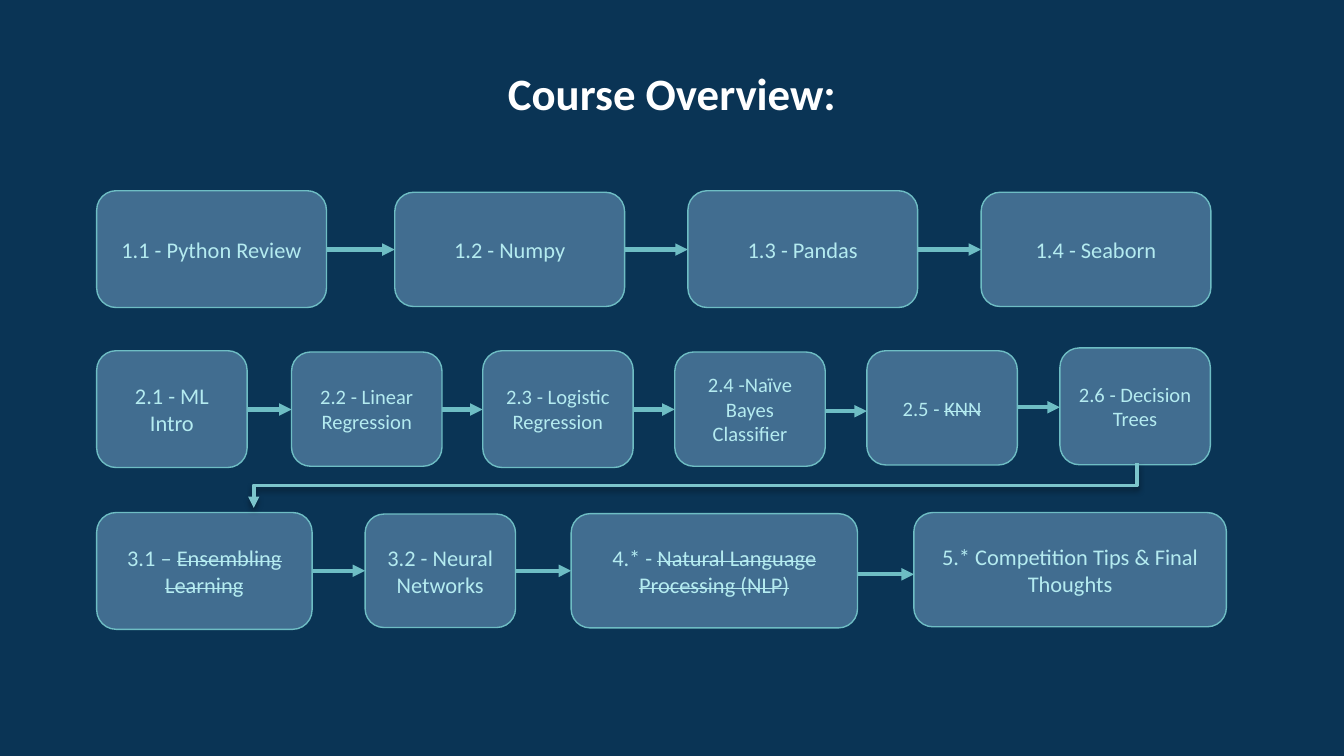
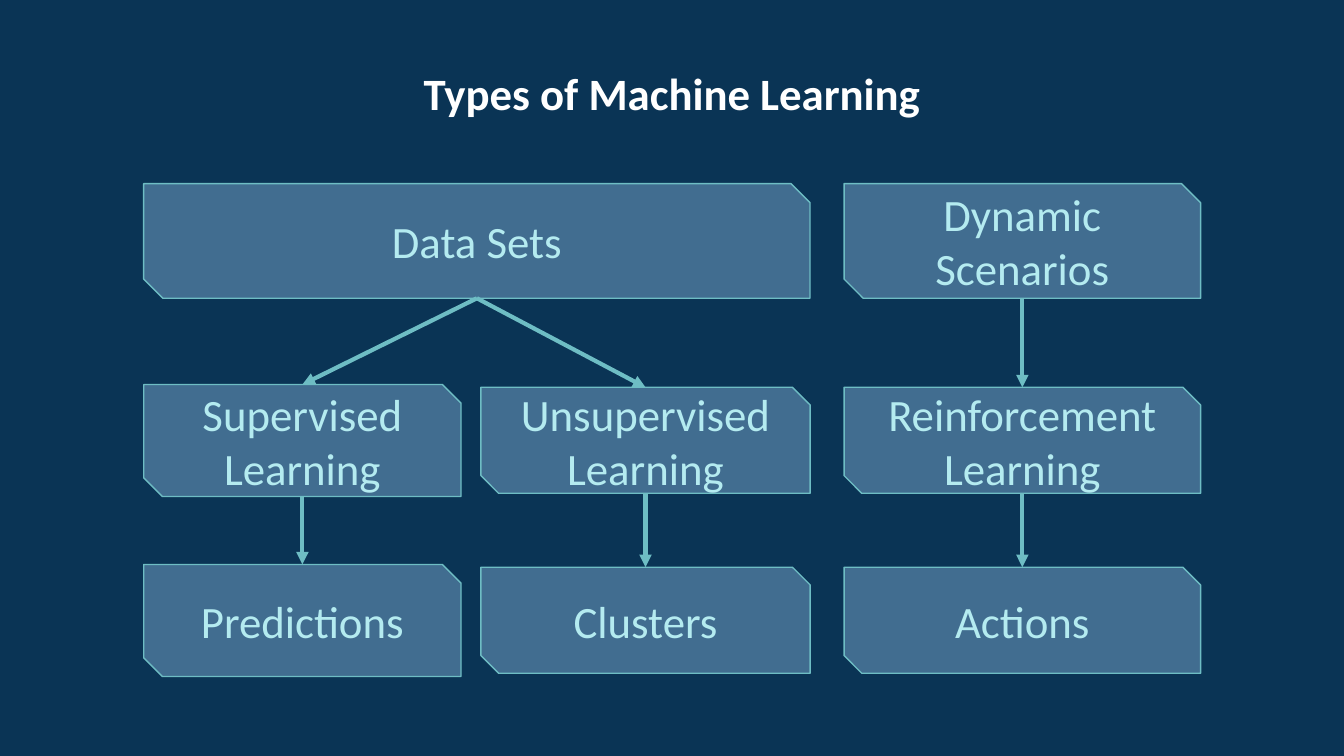
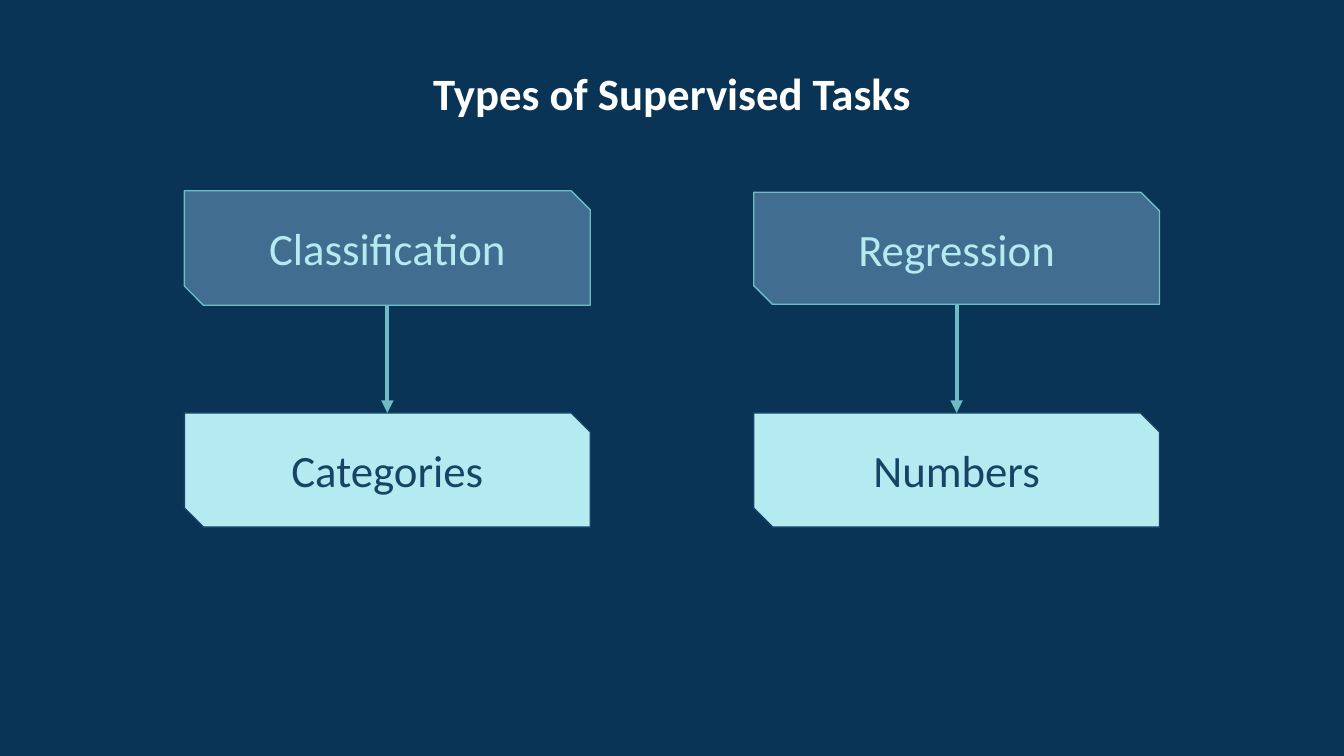
"""Build three slides on a course outline and the types of machine learning."""
from dataclasses import dataclass

from pptx import Presentation
from pptx.dml.color import RGBColor
from pptx.enum.shapes import MSO_CONNECTOR, MSO_SHAPE
from pptx.enum.text import MSO_ANCHOR, MSO_AUTO_SIZE, PP_ALIGN
from pptx.oxml import parse_xml
from pptx.oxml.ns import nsdecls, qn
from pptx.util import Pt

STRAIGHT, ELBOW = MSO_CONNECTOR.STRAIGHT, MSO_CONNECTOR.ELBOW
ROUNDED = MSO_SHAPE.FLOWCHART_ALTERNATE_PROCESS
SNIPPED = MSO_SHAPE.SNIP_2_DIAG_RECTANGLE
TOP, MIDDLE = MSO_ANCHOR.TOP, MSO_ANCHOR.MIDDLE
CENTER = PP_ALIGN.CENTER
NO_AUTOFIT = MSO_AUTO_SIZE.NONE
TITLE_ONLY = 5


@dataclass(frozen=True)
class Theme:
    """Colours, type sizes and line widths shared by the slides."""
    font: str = "Calibri"
    background: RGBColor = RGBColor(0x0A, 0x34, 0x55)
    title: RGBColor = RGBColor(0xFF, 0xFF, 0xFF)
    box: RGBColor = RGBColor(0x41, 0x6D, 0x90)
    line: RGBColor = RGBColor(0x6E, 0xBD, 0xC4)
    return_line: RGBColor = RGBColor(0x7C, 0xC5, 0xCC)
    pale: RGBColor = RGBColor(0xB4, 0xEB, 0xF0)
    navy: RGBColor = RGBColor(0x17, 0x43, 0x66)
    large: int = 24
    step: int = 12
    small_step: int = 11
    inset: float = 7.2
    outline: float = 0.75
    arrow: float = 2.25
    return_arrow: float = 2


THEME = Theme()


def add_box(slide, preset, bounds, kept, struck="", size=THEME.large,
            colors=(THEME.box, THEME.line, THEME.pale)):
    """Add a labelled box whose label may end in struck-out words."""
    fill, outline, ink = colors
    shape = slide.shapes.add_shape(preset, *map(Pt, bounds))
    shape.shadow.inherit = False
    shape.fill.solid()
    shape.fill.fore_color.rgb = fill
    shape.line.color.rgb = outline
    shape.line.width = Pt(THEME.outline)
    frame = shape.text_frame
    frame.word_wrap = True
    frame.vertical_anchor = MIDDLE
    frame.margin_left = frame.margin_right = Pt(THEME.inset)
    frame.margin_top = frame.margin_bottom = Pt(THEME.inset)
    frame.text = kept
    paragraph = frame.paragraphs[0]
    paragraph.alignment = CENTER
    if struck:
        run = paragraph.add_run()
        run.text = struck
        run._r.get_or_add_rPr().set("strike", "sngStrike")
    for run in paragraph.runs:
        run.font.name = THEME.font
        run.font.size = Pt(size)
        run.font.color.rgb = ink


def add_arrow(slide, start, end, kind=STRAIGHT, color=THEME.line, width=THEME.arrow):
    """Add a connector with an arrowhead at its end and no shadow."""
    connector = slide.shapes.add_connector(kind, *map(Pt, (*start, *end)))
    connector.line.color.rgb = color
    connector.line.width = Pt(width)
    properties = connector._element.spPr
    properties.find(qn("a:ln")).append(
        parse_xml(f'<a:tailEnd {nsdecls("a")} type="triangle"/>'))
    properties.append(parse_xml(f'<a:effectLst {nsdecls("a")}/>'))
    return connector


presentation = Presentation()
presentation.slide_width = Pt(720)
presentation.slide_height = Pt(405)
master_fill = presentation.slide_master.background.fill
master_fill.solid()
master_fill.fore_color.rgb = THEME.background

slides = []
for heading in ("Course Overview:", "Types of Machine Learning", "Types of Supervised Tasks"):
    slide = presentation.slides.add_slide(presentation.slide_layouts[TITLE_ONLY])
    title = slide.shapes.title
    title.left, title.top, title.width, title.height = map(Pt, (129.6, 28.1, 460.8, 74.2))
    frame = title.text_frame
    frame.auto_size = NO_AUTOFIT
    frame.vertical_anchor = TOP
    frame.margin_left = frame.margin_right = Pt(THEME.inset)
    frame.margin_top = frame.margin_bottom = Pt(THEME.inset)
    frame.text = heading
    paragraph = frame.paragraphs[0]
    paragraph.alignment = CENTER
    font = paragraph.runs[0].font
    font.name = THEME.font
    font.size = Pt(THEME.large)
    font.bold = True
    font.color.rgb = THEME.title
    slides.append(slide)
overview, learning_types, supervised_tasks = slides

course_rows = [
    [
        ((51.8, 102.2, 123.1, 62.6), "1.1 - Python Review", "", THEME.step),
        ((211.5, 103, 123.1, 61.2), "1.2 - Numpy", "", THEME.step),
        ((368.5, 102.2, 123.1, 62.6), "1.3 - Pandas", "", THEME.step),
        ((525.6, 103, 123.1, 61.2), "1.4 - Seaborn", "", THEME.step),
    ],
    [
        ((51.8, 187.9, 80.6, 62.6), "2.1 - ML Intro", "", THEME.step),
        ((156.2, 188.6, 80.6, 61.2), "2.2 - Linear Regression", "", THEME.small_step),
        ((258.6, 187.9, 80.6, 62.6), "2.3 - Logistic Regression", "", THEME.small_step),
        ((361.5, 188.6, 80.6, 61.2), "2.4 -Naïve Bayes Classifier", "", THEME.small_step),
        ((464.4, 187.9, 80.6, 61.2), "2.5 - ", "KNN", THEME.small_step),
        ((567.8, 186.4, 80.6, 62.6), "2.6 - Decision Trees", "", THEME.small_step),
    ],
    [
        ((51.8, 274.6, 115.4, 62.6), "3.1 – ", "Ensembling Learning", THEME.step),
        ((195.6, 275.4, 80.6, 60.8), "3.2 - Neural Networks", "", THEME.step),
        ((306, 275.2, 153.4, 61.2), "4.* - ", "Natural Language Processing (NLP)", THEME.step),
        ((489.6, 274.6, 167.4, 61.2), "5.* Competition Tips & Final Thoughts", "", THEME.step),
    ],
]
arrow_heights = [
    (133.7, 133.7, 133.7),
    (219.4, 219.4, 219.4, 220.3, 218.2),
    (305.8, 305.8, 307.7),
]
for steps, heights in zip(course_rows, arrow_heights):
    for bounds, kept, struck, size in steps:
        add_box(overview, ROUNDED, bounds, kept, struck, size)
    for step, following, height in zip(steps, steps[1:], heights):
        left, _, width, _ = step[0]
        add_arrow(overview, (left + width, height), (following[0][0], height))

return_arrow = add_arrow(overview, (360.4, 23.6), (384.4, 496.6), ELBOW,
                         THEME.return_line, THEME.return_arrow)
return_properties = return_arrow._element.spPr
return_properties.find(qn("a:xfrm")).set("rot", "5400000")
return_properties.find(qn("a:effectLst")).append(parse_xml(
    f'<a:outerShdw {nsdecls("a")} blurRad="{Pt(3.1)}" dist="{Pt(1.6)}" dir="5400000" '
    'rotWithShape="0"><a:srgbClr val="000000"><a:alpha val="38000"/></a:srgbClr></a:outerShdw>'))

source_top, source_height = 98.4, 61.4
source_bottom = source_top + source_height
data_sets = (77, 357)
dynamic_scenarios = (452.2, 191)
for (left, width), label in ((data_sets, "Data Sets"), (dynamic_scenarios, "Dynamic Scenarios")):
    add_box(learning_types, SNIPPED, (left, source_top, width, source_height), label)

learning_columns = [
    (data_sets, 77, 170, 206, 60, "Supervised Learning", "Predictions"),
    (data_sets, 257.6, 176.4, 207.5, 56.8, "Unsupervised Learning", "Clusters"),
    (dynamic_scenarios, 452.2, 191, 207.5, 56.8, "Reinforcement Learning", "Actions"),
]
result_offset = 96.4
for source, left, width, top, height, method, result in learning_columns:
    center = left + width / 2
    result_top = top + result_offset
    add_box(learning_types, SNIPPED, (left, top, width, height), method)
    add_box(learning_types, SNIPPED, (left, result_top, width, height), result)
    add_arrow(learning_types, (source[0] + source[1] / 2, source_bottom), (center, top))
    add_arrow(learning_types, (center, top + height), (center, result_top))

task_width, output_top, output_height = 217.4, 221.2, 61.2
task_columns = [
    (98.8, 102.2, 61.4, "Classification", "Categories"),
    (403.8, 103, 60, "Regression", "Numbers"),
]
for left, top, height, task, output in task_columns:
    center = left + task_width / 2
    add_box(supervised_tasks, SNIPPED, (left, top, task_width, height), task)
    add_box(supervised_tasks, SNIPPED, (left, output_top, task_width, output_height), output,
            colors=(THEME.pale, THEME.navy, THEME.navy))
    add_arrow(supervised_tasks, (center, 163.6), (center, output_top))

presentation.save("out.pptx")
